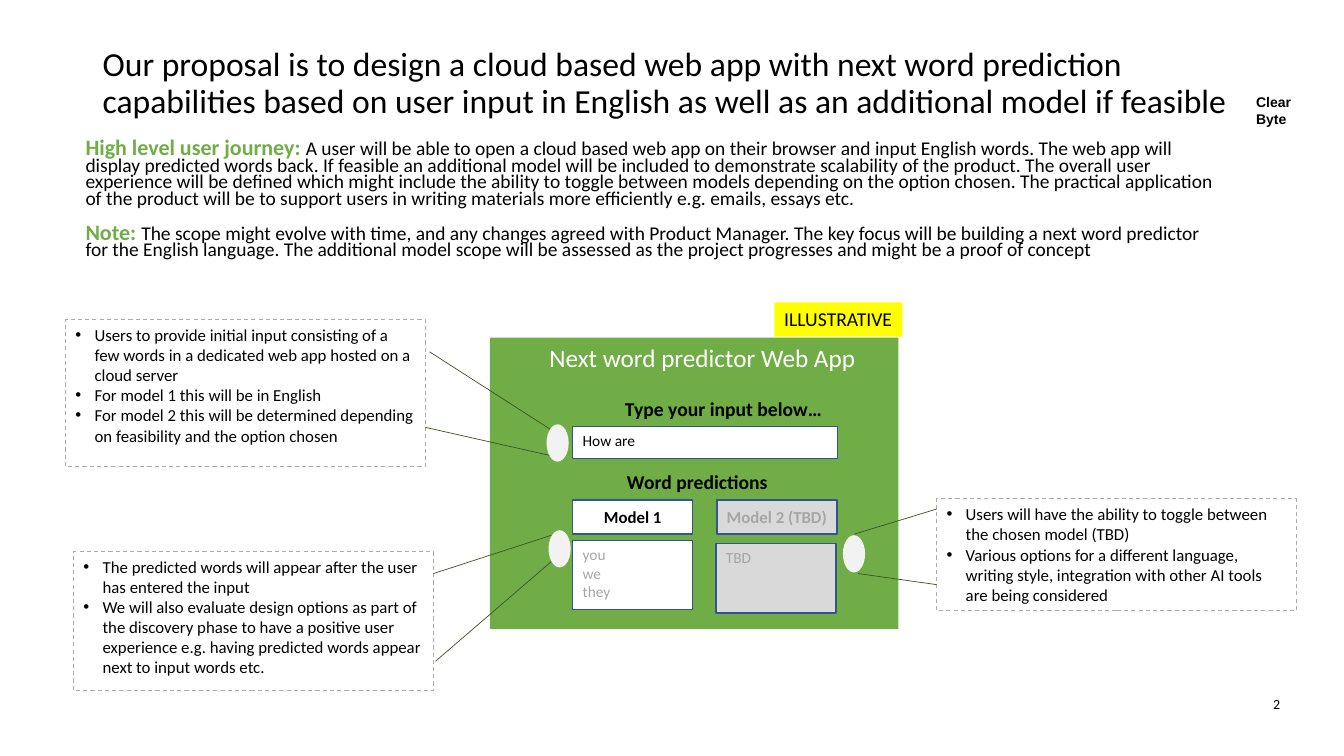
from lxml import etree
from pptx import Presentation
from pptx import util as u
from pptx.dml.color import RGBColor
from pptx.enum import dml, shapes, text
from pptx.oxml.ns import qn

PX = 9144  # EMU per px, 100 px to the inch

BLACK = RGBColor(0x00, 0x00, 0x00)
WHITE = RGBColor(0xFF, 0xFF, 0xFF)
GREEN = RGBColor(0x70, 0xAD, 0x47)
DARK_GREEN = RGBColor(0x38, 0x57, 0x23)
YELLOW = RGBColor(0xFF, 0xFF, 0x00)
BLUE = RGBColor(0x32, 0x54, 0x91)
DASH_GREY = RGBColor(0xAF, 0xAB, 0xAB)
OFF_GREY = RGBColor(0xD9, 0xD9, 0xD9)
TEXT_GREY = RGBColor(0xA6, 0xA6, 0xA6)
MARKER_GREY = RGBColor(0xF2, 0xF2, 0xF2)

TOP, MIDDLE = text.MSO_ANCHOR.TOP, text.MSO_ANCHOR.MIDDLE
LEFT, CENTER = text.PP_ALIGN.LEFT, text.PP_ALIGN.CENTER

# Content: boxes are (left, top, width, height) in px
TITLE = ("Our proposal is to design a cloud based web app with next word prediction "
         "capabilities based on user input in English as well as an additional model if feasible")
JOURNEY = [
    ("High level user journey: ",
     "A user will be able to open a cloud based web app on their browser and input English words. "
     "The web app will display predicted words back. If feasible an additional model will be "
     "included to demonstrate scalability of the product. The overall user experience will be "
     "defined which might include the ability to toggle between models depending on the option "
     "chosen. The practical application of the product will be to support users in writing "
     "materials more efficiently e.g. emails, essays etc."),
    ("Note: ",
     "The scope might evolve with time, and any changes agreed with Product Manager. The key focus "
     "will be building a next word predictor for the English language. The additional model scope "
     "will be assessed as the project progresses and might be a proof of concept"),
]
CALLOUTS = [
    ((65, 317, 357, 146), [
        "Users to provide initial input consisting of a few words in a dedicated web app hosted on "
        "a cloud server",
        "For model 1 this will be in English",
        "For model 2 this will be determined depending on feasibility and the option chosen"]),
    ((73, 547, 357, 138), [
        "The predicted words will appear after the user has entered the input",
        "We will also evaluate design options as part of the discovery phase to have a positive "
        "user experience e.g. having predicted words appear next to input words etc."]),
    ((929, 495, 357, 111), [
        "Users will have the ability to toggle between the chosen model (TBD)",
        "Various options for a different language, writing style, integration with other AI tools "
        "are being considered"]),
]
# Buttons and fields: box, lines, fill, text colour
MODEL_BUTTONS = [
    ((568, 496, 119, 34), ["Model 1"], WHITE, BLACK),
    ((711, 496, 119, 34), ["Model 2 (TBD)"], OFF_GREY, TEXT_GREY),
]
TEXT_FIELDS = [
    ((568, 423, 263, 32), ["How are"], WHITE, BLACK),
    ((568, 536, 119, 69), ["you", "we", "they"], WHITE, TEXT_GREY),
    ((710, 539, 119, 69), ["TBD"], OFF_GREY, TEXT_GREY),
]
APP_LABELS = [
    ((610, 389, 284, 32), "Type your input below…"),
    ((612, 461, 185, 32), "Word predictions"),
]
BUTTON_INSET = 3
MARKERS = [(542, 421), (544, 526), (836, 531)]
MARKER_SIZE = (22, 37)
LEADERS = [
    (546, 426, 426, 349), (546, 452, 422, 424),
    (547, 531, 430, 569), (547, 557, 432, 656),
    (847, 530, 929, 505), (929, 580, 851, 569),
]

deck = Presentation()
deck.slide_width, deck.slide_height = 1333 * PX, 750 * PX
slide = deck.slides.add_slide(deck.slide_layouts[6])


def emu(lengths):
    return [n * PX for n in lengths]


def add_run(paragraph, words, size, color=BLACK, bold=False, font="Calibri"):
    run = paragraph.add_run()
    run.text = words
    run.font.name, run.font.size, run.font.bold = font, u.Pt(size), bold
    run.font.color.rgb = color


def add_paragraphs(frame, count, align=LEFT, anchor=TOP):
    frame.word_wrap = True
    frame.vertical_anchor = anchor
    paragraphs = [frame.paragraphs[0]] + [frame.add_paragraph() for _ in range(count - 1)]
    for paragraph in paragraphs:
        paragraph.alignment = align
    return paragraphs


def add_label(box, words, size, anchor=TOP, **style):
    frame = slide.shapes.add_textbox(*emu(box)).text_frame
    [paragraph] = add_paragraphs(frame, 1, anchor=anchor)
    add_run(paragraph, words, size, **style)
    return paragraph


def add_panel(box, fill=None, line=None, width=1, kind=shapes.MSO_SHAPE.RECTANGLE):
    panel = slide.shapes.add_shape(kind, *emu(box))
    panel.shadow.inherit = False
    if fill is None:
        panel.fill.background()
    else:
        panel.fill.solid()
        panel.fill.fore_color.rgb = fill
    if line is None:
        panel.line.fill.background()
    else:
        panel.line.color.rgb = line
        panel.line.width = u.Pt(width)
    return panel


def add_field(box, lines, fill, color, size, bold=False, align=LEFT, anchor=TOP, inset=10):
    frame = add_panel(box, fill, BLUE).text_frame
    frame.margin_left = frame.margin_right = inset * PX
    for paragraph, words in zip(add_paragraphs(frame, len(lines), align, anchor), lines):
        add_run(paragraph, words, size, color, bold)


def add_bullet(paragraph, indent):
    props = paragraph._p.get_or_add_pPr()
    props.set("marL", str(indent * PX))
    props.set("indent", str(-indent * PX))
    etree.SubElement(props, qn("a:buFont")).set("typeface", "Arial")
    etree.SubElement(props, qn("a:buChar")).set("char", "•")


# Team name, title and page number
add_label((1236, 88, 70, 42), "Clear Byte", 10, bold=True, font="Arial")
add_label((92, 40, 1150, 87), TITLE, 24, anchor=MIDDLE).line_spacing = 0.9
add_label((1253, 685, 27, 27), "2", 10)

# User journey and note
journey = slide.shapes.add_textbox(*emu((75, 126, 1150, 146))).text_frame
paragraphs = add_paragraphs(journey, len(JOURNEY), anchor=MIDDLE)
for index, (paragraph, (lead, body)) in enumerate(zip(paragraphs, JOURNEY)):
    paragraph.line_spacing = 0.7
    if index:
        paragraph.space_before = u.Pt(12)
    add_run(paragraph, lead, 15.7, GREEN, True)
    add_run(paragraph, body, 13.9)

# Web app window with its tag
app = add_panel((486, 335, 405, 289), GREEN)
app.text_frame.margin_left = 26 * PX
[heading] = add_paragraphs(app.text_frame, 1, CENTER)
add_run(heading, "Next word predictor Web App", 18, WHITE)
tag = add_panel((768, 300, 127, 34), YELLOW)
[tag_line] = add_paragraphs(tag.text_frame, 1)
add_run(tag_line, "ILLUSTRATIVE", 14)

# Buttons, fields and labels inside the app
for button in MODEL_BUTTONS:
    add_field(*button, 12, True, CENTER, MIDDLE, BUTTON_INSET)
for field in TEXT_FIELDS:
    add_field(*field, 11)
for box, words in APP_LABELS:
    add_label(box, words, 14, bold=True)

# Callouts
for box, points in CALLOUTS:
    callout = add_panel(box, line=DASH_GREY, width=0.75)
    callout.line.dash_style = dml.MSO_LINE.DASH
    for paragraph, words in zip(add_paragraphs(callout.text_frame, len(points)), points):
        add_bullet(paragraph, 19)
        add_run(paragraph, words, 12)

# Leader lines and the markers they point at
for ends in LEADERS:
    leader = slide.shapes.add_connector(shapes.MSO_CONNECTOR.STRAIGHT, *emu(ends))
    leader.line.color.rgb = DARK_GREEN
    leader.line.width = u.Pt(0.5)
    etree.SubElement(leader._element.spPr, qn("a:effectLst"))
for corner in MARKERS:
    add_panel(corner + MARKER_SIZE, MARKER_GREY, kind=shapes.MSO_SHAPE.OVAL)

deck.save("out.pptx")
